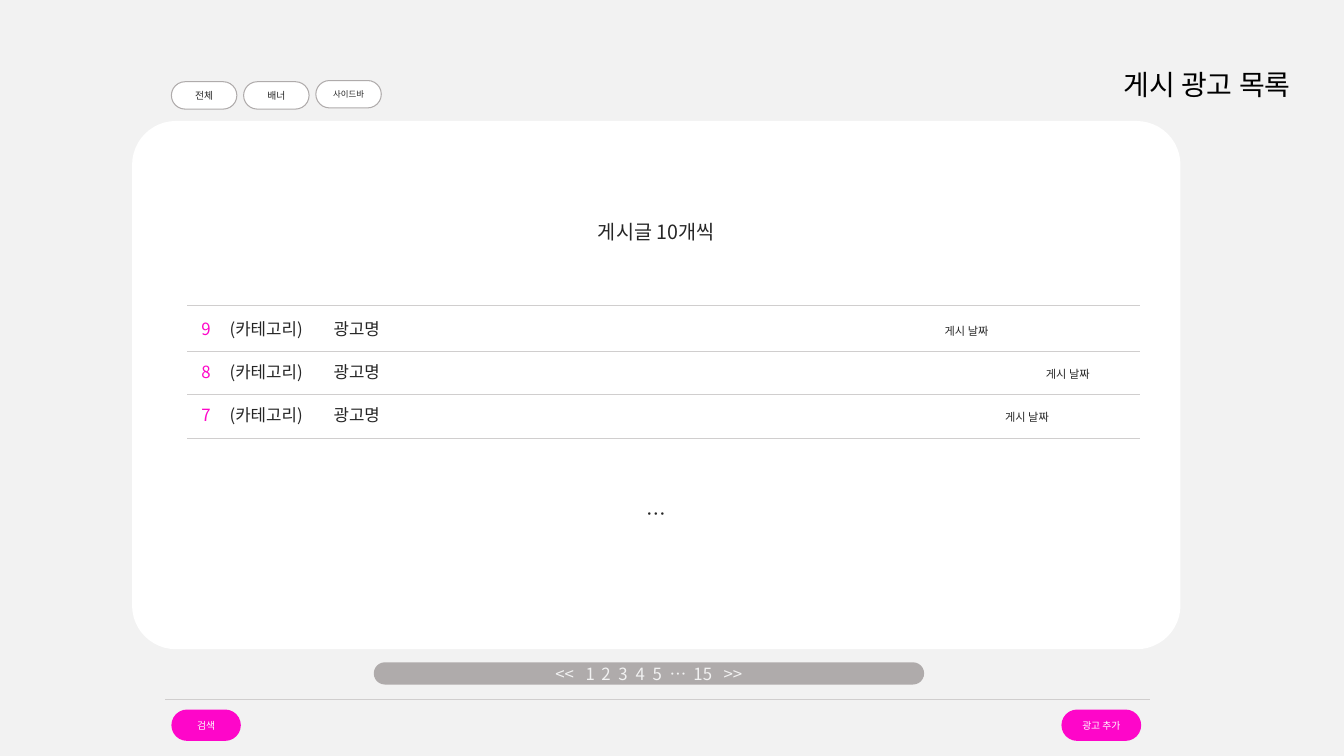
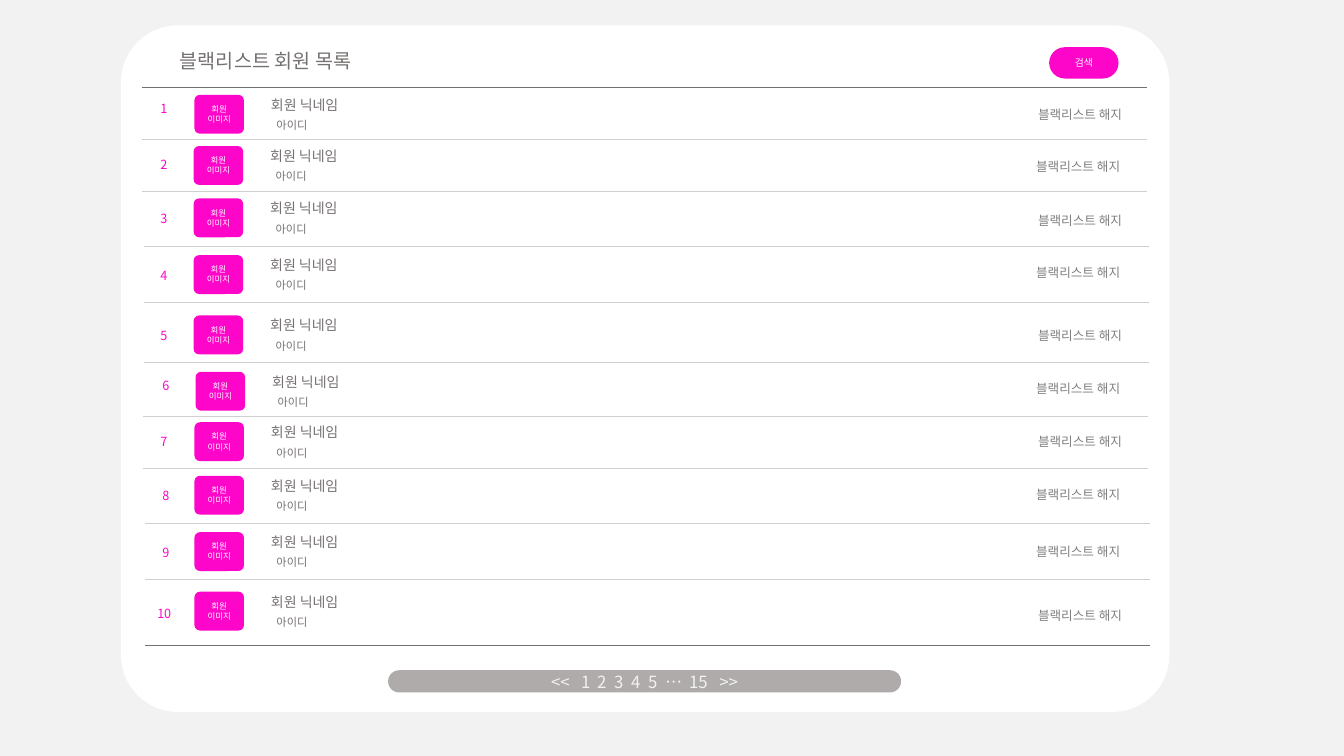
from dataclasses import dataclass

import lxml.etree
import pptx
import pptx.dml.color
import pptx.enum.shapes
import pptx.enum.text
import pptx.oxml.ns
import pptx.util

Cm = pptx.util.Cm
ALIGN = pptx.enum.text.PP_ALIGN
ANCHOR = pptx.enum.text.MSO_ANCHOR
qn = pptx.oxml.ns.qn

# Shared style
FONT = "Noto Sans CJK KR"
COLORS = {
    "page": "F2F2F2",
    "white": "FFFFFF",
    "black": "000000",
    "ink": "262626",
    "slate": "767171",
    "action": "808080",
    "gray": "AFABAB",
    "rule": "D0CECE",
    "pink": "FE06C9",
}
CARD_ROUNDING = 0.083
TILE_ROUNDING = 0.142
PILL_ROUNDING = 0.5
PAGES = ("<<", "1", "2", "3", "4", "5", "…", "15", ">>")
PAGE_TABS = (0.76, 1.16, 1.59, 2.02, 2.45, 2.88, 3.48, 4.24)
PAGER_HALF_WIDTH = 2.36


@dataclass(frozen=True)
class Box:
    left: float
    top: float
    width: float
    height: float

    def lengths(self) -> tuple:
        return Cm(self.left), Cm(self.top), Cm(self.width), Cm(self.height)


@dataclass(frozen=True)
class Filter:
    label: str
    top: float
    size: float


@dataclass(frozen=True)
class Advert:
    number: str
    date_tab: float


@dataclass(frozen=True)
class Member:
    number_center: float
    number_top: float
    tile_left: float
    tile_top: float
    action_left: float
    action_top: float
    rule_left: float
    rule_top: float


FILTERS = (Filter("전체", 2.06, 7), Filter("배너", 2.06, 7), Filter("사이드바", 2.03, 6))
ADVERTS = (Advert("9", 18.73), Advert("8", 21.28), Advert("7", 20.25))
ADVERT_RULES = (7.7, 8.86, 9.93, 11.05)
MEMBERS = (
    Member(4.13, 2.41, 4.9, 2.39, 25.91, 2.57, 3.58, 3.51),
    Member(4.13, 3.84, 4.88, 3.68, 25.86, 3.89, 3.58, 4.83),
    Member(4.13, 5.18, 4.88, 5.0, 25.91, 5.23, 3.63, 6.2),
    Member(4.13, 6.63, 4.88, 6.43, 25.86, 6.55, 3.63, 7.62),
    Member(4.13, 8.15, 4.88, 7.95, 25.91, 8.15, 3.63, 9.14),
    Member(4.18, 9.4, 4.93, 9.37, 25.86, 9.47, 3.61, 10.49),
    Member(4.13, 10.8, 4.9, 10.64, 25.91, 10.82, 3.61, 11.79),
    Member(4.18, 12.17, 4.9, 11.99, 25.86, 12.14, 3.66, 13.18),
    Member(4.18, 13.61, 4.9, 13.41, 25.86, 13.59, 3.66, 14.61),
    Member(4.14, 15.14, 4.9, 14.91, 25.91, 15.19, 3.66, 16.26),
)


def rgb(name: str) -> pptx.dml.color.RGBColor:
    return pptx.dml.color.RGBColor.from_string(COLORS[name])


# Text
def add_span(para, text: str, *, size: float, color: str, align=ALIGN.LEFT) -> None:
    para.alignment = align
    span = para.add_run()
    span.text = text
    span.font.size = pptx.util.Pt(size)
    span.font.color.rgb = rgb(color)
    span.font.name = FONT
    east_asian = lxml.etree.SubElement(span.font._element, qn("a:ea"))
    east_asian.set("typeface", FONT)


def set_tabs(para, stops: tuple) -> None:
    tab_list = lxml.etree.SubElement(para._p.get_or_add_pPr(), qn("a:tabLst"))
    for stop in stops:
        tab = lxml.etree.SubElement(tab_list, qn("a:tab"))
        tab.set("pos", str(int(Cm(stop))))
        tab.set("algn", "l")


def add_label(slide, box: Box, text: str, *, size: float, color: str,
              align=ALIGN.LEFT, anchor=ANCHOR.TOP) -> None:
    frame = slide.shapes.add_textbox(*box.lengths()).text_frame
    frame.word_wrap = True
    frame.vertical_anchor = anchor
    add_span(frame.paragraphs[0], text, size=size, color=color, align=align)


# Shapes
def add_rounded(slide, box: Box, rounding: float, fill: str = "", line: str = ""):
    shape = slide.shapes.add_shape(
        pptx.enum.shapes.MSO_SHAPE.ROUNDED_RECTANGLE, *box.lengths())
    shape.adjustments[0] = rounding
    shape.shadow.inherit = False
    if fill:
        shape.fill.solid()
        shape.fill.fore_color.rgb = rgb(fill)
    else:
        shape.fill.background()
    if line:
        shape.line.color.rgb = rgb(line)
        shape.line.width = pptx.util.Pt(0.75)
    else:
        shape.line.fill.background()
    frame = shape.text_frame
    frame.word_wrap = True
    frame.vertical_anchor = ANCHOR.MIDDLE
    frame.margin_top = frame.margin_bottom = 0
    return shape


def add_button(slide, box: Box, text: str, *, size: float = 7, color: str = "white",
               fill: str = "pink", line: str = "",
               rounding: float = PILL_ROUNDING) -> None:
    button = add_rounded(slide, box, rounding, fill, line)
    add_span(button.text_frame.paragraphs[0], text, size=size, color=color,
             align=ALIGN.CENTER)


def add_rule(slide, left: float, top: float, length: float, color: str = "rule") -> None:
    rule = slide.shapes.add_connector(
        pptx.enum.shapes.MSO_CONNECTOR.STRAIGHT,
        Cm(left), Cm(top), Cm(left + length), Cm(top))
    rule.line.color.rgb = rgb(color)
    rule.line.width = pptx.util.Pt(0.5)
    lxml.etree.SubElement(rule._element.spPr, qn("a:effectLst"))


# Parts that both slides share
def add_page(deck, card: Box):
    page = deck.slides.add_slide(deck.slide_layouts[6])
    page.background.fill.solid()
    page.background.fill.fore_color.rgb = rgb("page")
    add_rounded(page, card, CARD_ROUNDING, "white")
    return page


def add_pager(page, left: float, top: float, width: float) -> None:
    bar = add_rounded(page, Box(left, top, width, 0.56), PILL_ROUNDING, "gray")
    corner_inset = 0.08
    bar.text_frame.margin_left = Cm(width / 2 - PAGER_HALF_WIDTH - corner_inset)
    para = bar.text_frame.paragraphs[0]
    add_span(para, "\t".join(PAGES), size=12, color="page")
    set_tabs(para, PAGE_TABS)


def add_search(page, left: float, top: float) -> None:
    add_button(page, Box(left, top, 1.75, 0.79), "검색")


# Rows
def add_advert(page, advert: Advert, top: float) -> None:
    row = add_rounded(page, Box(4.8, top, 23.47, 1.17), CARD_ROUNDING)
    para = row.text_frame.paragraphs[0]
    add_span(para, advert.number, size=12, color="pink")
    add_span(para, "\t(카테고리)\t광고명\t", size=12, color="ink")
    add_span(para, "게시 날짜", size=8, color="ink")
    set_tabs(para, (0.71, 3.33, advert.date_tab))


def add_member(page, number: int, member: Member) -> None:
    number_width = 0.97
    left, top = member.tile_left, member.tile_top
    add_label(page, Box(member.number_center - number_width / 2, member.number_top,
                        number_width, 0.64),
              str(number), size=9, color="pink", align=ALIGN.CENTER)
    add_button(page, Box(left, top, 1.25, 0.98), "회원 이미지", size=6,
               rounding=TILE_ROUNDING)
    add_label(page, Box(left + 1.68, top - 0.09, 3.05, 0.69), "회원 닉네임",
              size=10, color="slate")
    add_label(page, Box(left + 1.61, top + 0.47, 1.7, 0.61), "아이디",
              size=8, color="slate", align=ALIGN.CENTER)
    add_label(page, Box(member.action_left, member.action_top, 3.05, 0.64),
              "블랙리스트 해지", size=9, color="action")
    last = number == len(MEMBERS)
    add_rule(page, member.rule_left, member.rule_top, 25.32,
             "slate" if last else "rule")


# Slides
def build_adverts(deck) -> None:
    card = Box(3.33, 3.05, 26.42, 13.31)
    page = add_page(deck, card)
    for text, top in (("게시글 10개씩", 5.35), ("…", 12.45)):
        add_label(page, Box(card.left, top, card.width, 1), text, size=14,
                  color="ink", align=ALIGN.CENTER, anchor=ANCHOR.MIDDLE)
    for index, advert in enumerate(ADVERTS):
        add_advert(page, advert, 7.7 + index * 1.09)
    for top in ADVERT_RULES:
        add_rule(page, 4.72, top, 24)
    add_label(page, Box(27.12, 1.57, 6.6, 1.12), "게시 광고 목록", size=20,
              color="black", align=ALIGN.CENTER)
    for index, item in enumerate(FILTERS):
        add_button(page, Box(4.32 + index * 1.82, item.top, 1.65, 0.69), item.label,
                   size=item.size, color="ink", fill="white", line="gray")
    add_pager(page, 9.42, 16.69, 13.87)
    add_rule(page, 4.17, 17.63, 24.82)
    add_search(page, 4.32, 17.88)
    add_button(page, Box(26.75, 17.88, 2.01, 0.79), "광고 추가")


def build_blacklist(deck) -> None:
    page = add_page(deck, Box(3.05, 0.64, 26.42, 17.3))
    add_label(page, Box(3.38, 1.12, 6.63, 0.86), "블랙리스트 회원 목록", size=14,
              color="slate", align=ALIGN.CENTER)
    add_search(page, 26.44, 1.19)
    add_rule(page, 3.58, 2.21, 25.32, "slate")
    for number, member in enumerate(MEMBERS, start=1):
        add_member(page, number, member)
    add_pager(page, 9.78, 16.89, 12.93)


def main() -> None:
    deck = pptx.Presentation()
    deck.slide_width, deck.slide_height = Cm(33.87), Cm(19.05)
    build_adverts(deck)
    build_blacklist(deck)
    deck.save("out.pptx")


if __name__ == "__main__":
    main()
